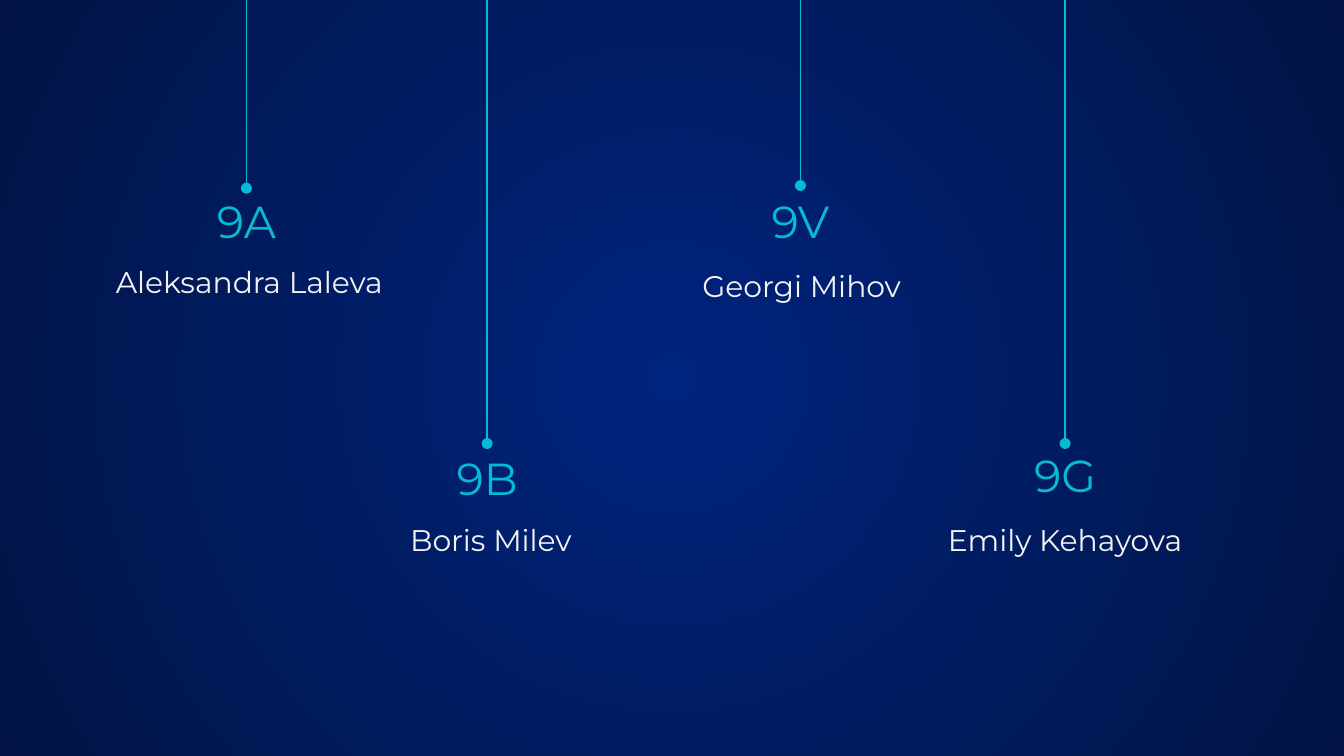
from dataclasses import dataclass

from lxml import etree
from pptx import Presentation
from pptx.dml.color import RGBColor
from pptx.enum.shapes import MSO_CONNECTOR
from pptx.enum.text import MSO_ANCHOR, PP_ALIGN
from pptx.oxml.ns import qn
from pptx.util import Pt

FONT = "Montserrat"
CYAN = "06BAD6"
PALE = "F3F3F3"
CODE_WIDTH, CODE_HEIGHT = 84, 39
NAME_HEIGHT = 30.2
LINE_TOP = -5.5


@dataclass
class Pendant:
    """A class code and its student, hung from the top edge; lengths in points."""
    code: str
    student: str
    center: float
    dot_top: float
    code_top: float
    name_top: float
    name_width: float = 153.4
    name_shift: float = 0


PENDANTS = [
    Pendant("9A", "Aleksandra Laleva", 132, 100.8, 100.8, 137.5, 183.6, 1.6),
    Pendant("9B", "Boris Milev", 261, 237.6, 238.3, 275.8, name_shift=2),
    Pendant("9V", "Georgi Mihov", 428.8, 99.4, 100.8, 139.7, name_shift=0.7),
    Pendant("9G", "Emily Kehayova", 570.6, 237.6, 236.9, 275.8),
]


def rgb(hex_color):
    return RGBColor.from_string(hex_color)


def paint_background(slide):
    """Fill the slide with a gradient that spreads in circles from its centre."""
    fill = slide.background.fill
    fill.gradient()
    for stop, color in zip(fill.gradient_stops, ("00237D", "011445")):
        stop.color.rgb = rgb(color)
    gradient = next(slide.background._cSld.iter(qn("a:gradFill")))
    gradient.remove(gradient.find(qn("a:lin")))
    circle = etree.SubElement(gradient, qn("a:path"), path="circle")
    etree.SubElement(circle, qn("a:fillToRect"),
                     {side: "50000" for side in "ltrb"})


def write_label(label, text, box, size, color):
    label.left, label.top, label.width, label.height = (Pt(v) for v in box)
    frame = label.text_frame
    frame.word_wrap = True
    frame.vertical_anchor = MSO_ANCHOR.BOTTOM
    frame.margin_left = frame.margin_right = Pt(7.2)
    frame.margin_top = frame.margin_bottom = Pt(7.2)
    frame.text = text
    paragraph = frame.paragraphs[0]
    paragraph.alignment = PP_ALIGN.CENTER
    paragraph.line_spacing = 1
    paragraph.space_before = Pt(0)
    paragraph.font.name = FONT
    paragraph.font.size = Pt(size)
    paragraph.font.color.rgb = rgb(color)


def add_string(slide, center, bottom):
    """Draw a line up from a dot to the top edge of the slide."""
    string = slide.shapes.add_connector(
        MSO_CONNECTOR.STRAIGHT, Pt(center), Pt(bottom), Pt(center), Pt(LINE_TOP))
    string.line.color.rgb = rgb(CYAN)
    string.line.width = Pt(0.75)
    etree.SubElement(string.line._get_or_add_ln(), qn("a:headEnd"), type="oval")
    etree.SubElement(string._element.spPr, qn("a:effectLst"))


def add_pendant(slide, pendant, code_label):
    code_box = (pendant.center - CODE_WIDTH / 2, pendant.code_top,
                CODE_WIDTH, CODE_HEIGHT)
    write_label(code_label, pendant.code, code_box, 24, CYAN)
    name_left = pendant.center + pendant.name_shift - pendant.name_width / 2
    name_box = (name_left, pendant.name_top, pendant.name_width, NAME_HEIGHT)
    write_label(add_label(slide), pendant.student, name_box, 16, PALE)
    add_string(slide, pendant.center, pendant.dot_top)


def add_label(slide):
    return slide.shapes.add_textbox(0, 0, 0, 0)


def main():
    deck = Presentation()
    deck.slide_width, deck.slide_height = Pt(720), Pt(405)
    slide = deck.slides.add_slide(deck.slide_layouts[5])
    paint_background(slide)
    for index, pendant in enumerate(PENDANTS):
        code_label = add_label(slide) if index else slide.shapes.title
        add_pendant(slide, pendant, code_label)
    deck.save("out.pptx")


if __name__ == "__main__":
    main()
